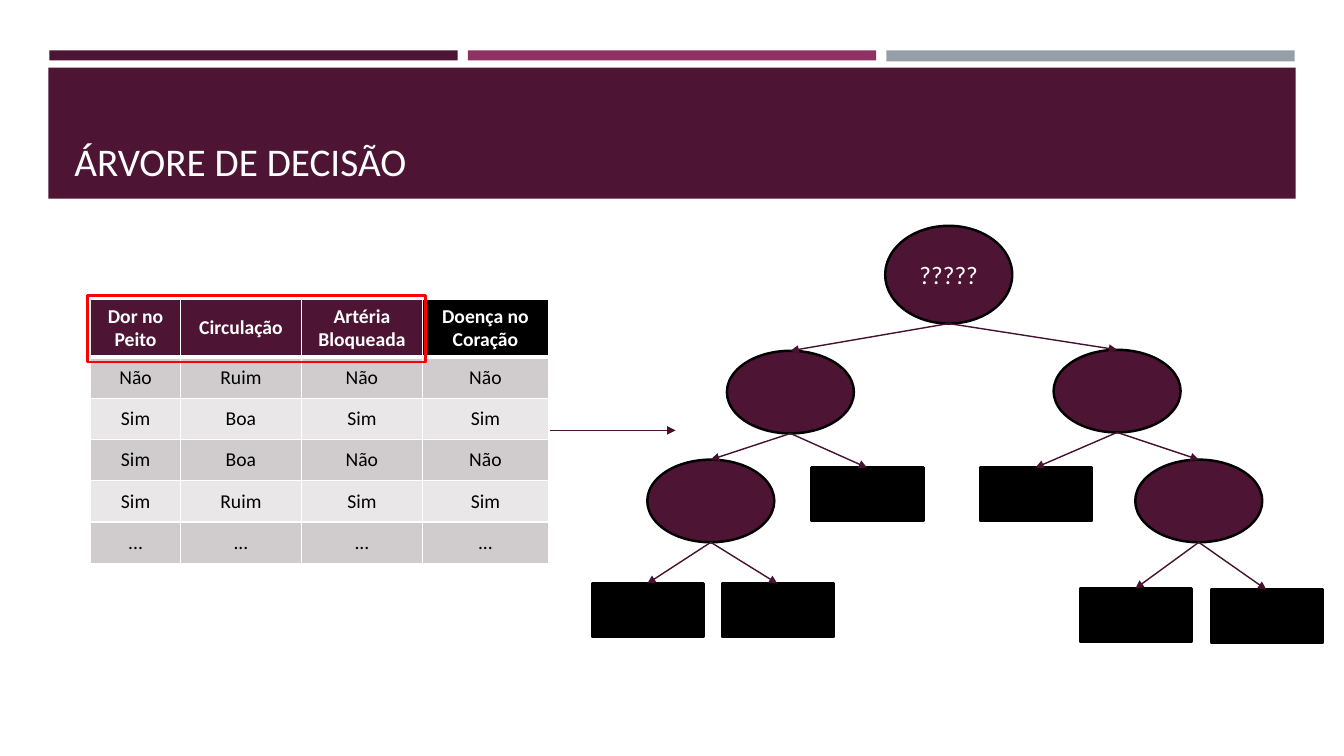
from dataclasses import dataclass
from typing import Optional

from lxml import etree
from pptx import Presentation
from pptx.dml.color import RGBColor
from pptx.enum.shapes import MSO_CONNECTOR, MSO_SHAPE
from pptx.enum.text import MSO_ANCHOR, PP_ALIGN
from pptx.oxml.ns import qn
from pptx.util import Emu, Pt

RECT, OVAL = MSO_SHAPE.RECTANGLE, MSO_SHAPE.OVAL
STRAIGHT = MSO_CONNECTOR.STRAIGHT
LEFT, CENTER = PP_ALIGN.LEFT, PP_ALIGN.CENTER
MIDDLE, BOTTOM = MSO_ANCHOR.MIDDLE, MSO_ANCHOR.BOTTOM
SCALE = 9144  # EMU per px, 100 px to the inch


@dataclass(frozen=True)
class Theme:
    font: str = "Calibri"
    plum: str = "4D1434"
    magenta: str = "903163"
    gray: str = "969FA7"
    arrow: str = "45122F"
    red: str = "FF0000"
    black: str = "000000"
    white: str = "FFFFFF"
    bands: tuple[str, str] = ("D0CCCE", "E9E7E8")
    title: int = 28
    node: int = 18
    cell: int = 14
    outline: float = 1.75
    thin: int = 1
    thick: int = 3


@dataclass(frozen=True)
class Box:
    x: int
    y: int
    w: int
    h: int


@dataclass(frozen=True)
class Node:
    box: Box
    parent: Optional[int] = None
    leaf: bool = False
    text: str = ""


def question(x: int, y: int, parent: int) -> Node:
    return Node(Box(x, y, 126, 82), parent)


def answer(x: int, y: int, parent: int) -> Node:
    return Node(Box(x, y, 111, 53), parent, leaf=True)


T = Theme()
BARS = [
    (Box(49, 50, 405, 10), T.plum),
    (Box(464, 50, 405, 10), T.magenta),
    (Box(879, 50, 405, 11), T.gray),
    (Box(48, 67, 1237, 130), T.plum),
]
COLUMNS = [89, 120, 120, 125]
ROW_H, HEADER_H = 41, 57
ROWS = [
    ["Dor no Peito", "Circulação", "Artéria Bloqueada", "Doença no Coração"],
    ["Não", "Ruim", "Não", "Não"],
    ["Sim", "Boa", "Sim", "Sim"],
    ["Sim", "Boa", "Não", "Não"],
    ["Sim", "Ruim", "Sim", "Sim"],
    ["..."] * 4,
]
TREE = [
    Node(Box(878, 224, 126, 97), text="?????"),
    question(721, 348, 0),
    question(1045, 347, 0),
    question(642, 456, 1),
    answer(805, 464, 1),
    answer(972, 464, 2),
    question(1126, 456, 2),
    answer(587, 579, 3),
    answer(716, 579, 3),
    answer(1071, 584, 6),
    answer(1201, 585, 6),
]


def px(n: int) -> Emu:
    return Emu(n * SCALE)


def rgb(color: str) -> RGBColor:
    return RGBColor.from_string(color)


def write(tf, text: str, *, size: int, color: str, bold: bool = False, align=CENTER) -> None:
    p = tf.paragraphs[0]
    p.alignment = align
    r = p.add_run()
    r.text = text
    r.font.name, r.font.size, r.font.bold = T.font, Pt(size), bold
    r.font.color.rgb = rgb(color)


def add_box(slide, kind, box: Box, fill: Optional[str] = None, line: Optional[str] = None):
    sp = slide.shapes.add_shape(kind, px(box.x), px(box.y), px(box.w), px(box.h))
    sp.shadow.inherit = False
    if fill:
        sp.fill.solid()
        sp.fill.fore_color.rgb = rgb(fill)
    else:
        sp.fill.background()
    if line:
        sp.line.color.rgb = rgb(line)
        sp.line.width = Pt(T.outline)
    else:
        sp.line.fill.background()
    return sp


def add_arrow(slide, x1: int, y1: int, x2: int, y2: int) -> None:
    sp = slide.shapes.add_connector(STRAIGHT, px(x1), px(y1), px(x2), px(y2))
    sp.line.color.rgb = rgb(T.arrow)
    sp.line.width = Pt(T.thin)
    etree.SubElement(sp.line._get_or_add_ln(), qn("a:tailEnd"), type="triangle")
    etree.SubElement(sp._element.spPr, qn("a:effectLst"))


def add_borders(cell, bottom: int) -> None:
    tc_pr = cell._tc.get_or_add_tcPr()
    for side, width in (("L", T.thin), ("R", T.thin), ("T", T.thin), ("B", bottom)):
        ln = etree.SubElement(tc_pr, qn(f"a:ln{side}"), w=str(Pt(width)))
        fill = etree.SubElement(ln, qn("a:solidFill"))
        etree.SubElement(fill, qn("a:srgbClr"), val=T.white)


def add_data_table(slide, x: int, y: int) -> None:
    height = HEADER_H + ROW_H * (len(ROWS) - 1)
    table = slide.shapes.add_table(
        len(ROWS), len(COLUMNS), px(x), px(y), px(sum(COLUMNS)), px(height)
    ).table
    for column, width in zip(table.columns, COLUMNS):
        column.width = px(width)
    for i, values in enumerate(ROWS):
        header = i == 0
        table.rows[i].height = px(HEADER_H if header else ROW_H)
        for j, value in enumerate(values):
            cell = table.cell(i, j)
            add_borders(cell, T.thick if header else T.thin)
            target = j == len(COLUMNS) - 1
            fill = (T.black if target else T.plum) if header else T.bands[(i - 1) % 2]
            cell.fill.solid()
            cell.fill.fore_color.rgb = rgb(fill)
            cell.vertical_anchor = MIDDLE
            write(cell.text_frame, value, size=T.cell, bold=header,
                  color=T.white if header else T.black)


def add_tree(slide) -> None:
    for node in TREE:
        kind, fill = (RECT, T.black) if node.leaf else (OVAL, T.plum)
        sp = add_box(slide, kind, node.box, fill, T.black)
        if node.text:
            sp.text_frame.vertical_anchor = MIDDLE
            write(sp.text_frame, node.text, size=T.node, color=T.white)
    for node in TREE:
        if node.parent is not None:
            top, child = TREE[node.parent].box, node.box
            add_arrow(slide, top.x + top.w // 2, top.y + top.h, child.x + child.w // 2, child.y)


def main() -> None:
    prs = Presentation()
    prs.slide_width, prs.slide_height = px(1333), px(750)
    slide = prs.slides.add_slide(prs.slide_layouts[6])

    # Header bars and title
    for box, color in BARS:
        add_box(slide, RECT, box, color)
    tf = slide.shapes.add_textbox(px(64), px(77), px(1206), px(111)).text_frame
    tf.word_wrap = True
    tf.vertical_anchor = BOTTOM
    write(tf, "ÁRVORE DE DECISÃO", size=T.title, color=T.white, align=LEFT)

    # Training data, leading to the tree
    add_data_table(slide, 90, 297)
    add_tree(slide)
    add_arrow(slide, 545, 427, 670, 427)

    # Frame around the attribute columns
    add_box(slide, RECT, Box(87, 293, 335, 66), line=T.red)
    prs.save("out.pptx")


if __name__ == "__main__":
    main()
